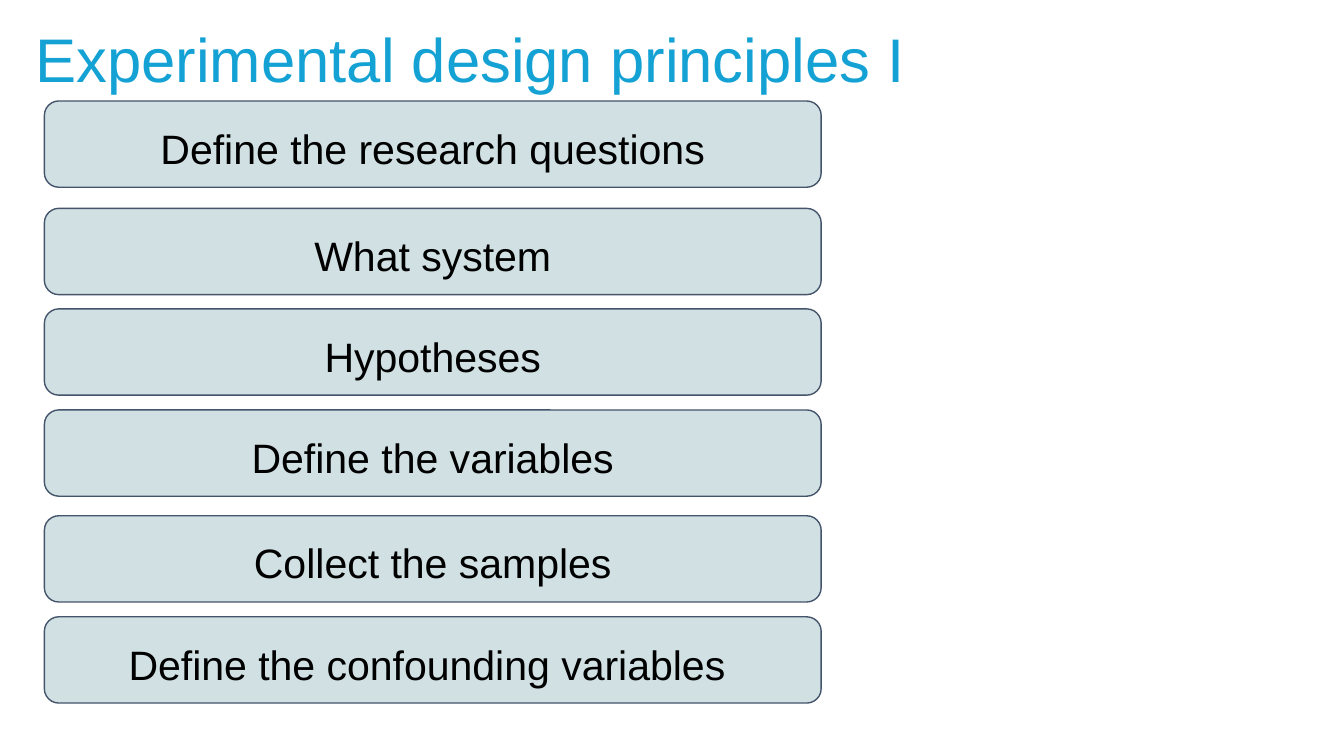
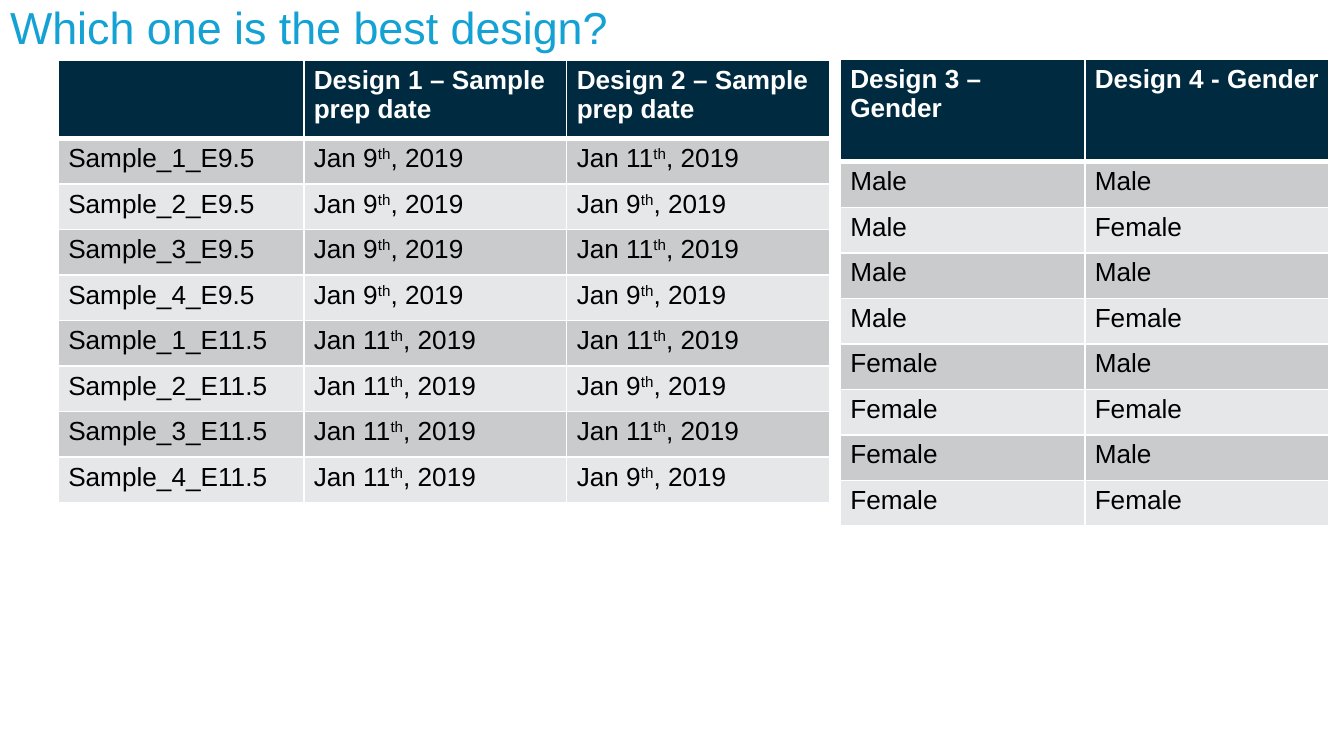
from pptx import Presentation
from pptx import util as u
from pptx.dml import color
from pptx.enum import shapes, text
from pptx.oxml import parse_xml
from pptx.oxml.ns import nsdecls

FONT = "Arial"
COLORS = {
    "title": "14A1D4",
    "step": "D0E0E3",
    "step_line": "44546A",
    "header": "002A40",
    "band_dark": "CACBCD",
    "band_light": "E6E7E8",
    "white": "FFFFFF",
    "black": "000000",
}
TITLE_ONLY = 5
ROW_HEIGHT = 0.86

# Step labels with their top edges in cm
STEPS = [
    ("Define the research questions", 1.91),
    ("What system", 3.94),
    ("Hypotheses", 5.84),
    ("Define the variables", 7.75),
    ("Collect the samples", 9.75),
    ("Define the confounding variables ", 11.66),
]

# Carets enclose superscript text
EARLY, LATE = "Jan 9^th^, 2019", "Jan 11^th^, 2019"
SAMPLES = [f"Sample_{number}_{stage}" for stage in ("E9.5", "E11.5") for number in range(1, 5)]
DATE_ROWS = [
    ["", "Design 1 – Sample prep date", "Design 2 – Sample prep date"],
    *zip(SAMPLES, [EARLY] * 4 + [LATE] * 4, [LATE, EARLY] * 4),
]
GENDER_ROWS = [
    ["Design 3 – Gender", "Design 4 - Gender"],
    *zip(["Male"] * 4 + ["Female"] * 4, ["Male", "Female"] * 4),
]


def rgb(name):
    return color.RGBColor.from_string(COLORS[name])


def style_font(font, size, color_name, bold=False):
    font.name, font.size, font.bold = FONT, u.Pt(size), bold
    font.color.rgb = rgb(color_name)


def set_margins(target, horizontal, vertical):
    target.margin_left = target.margin_right = u.Cm(horizontal)
    target.margin_top = target.margin_bottom = u.Cm(vertical)


def add_titled_slide(presentation, title, box, size, anchor, line_spacing=1.0):
    slide = presentation.slides.add_slide(presentation.slide_layouts[TITLE_ONLY])
    shape = slide.shapes.title
    shape.left, shape.top, shape.width, shape.height = map(u.Cm, box)
    frame = shape.text_frame
    frame.text = title
    frame.word_wrap = True
    frame.auto_size = text.MSO_AUTO_SIZE.NONE
    frame.vertical_anchor = anchor
    set_margins(frame, 0.19, 0.1)
    paragraph = frame.paragraphs[0]
    paragraph.alignment = text.PP_ALIGN.LEFT
    paragraph.line_spacing = line_spacing
    style_font(paragraph.runs[0].font, size, "title")
    return slide


def add_step(slide, label, box):
    shape = slide.shapes.add_shape(shapes.MSO_SHAPE.ROUNDED_RECTANGLE, *map(u.Cm, box))
    shape.shadow.inherit = False
    shape.fill.solid()
    shape.fill.fore_color.rgb = rgb("step")
    shape.line.color.rgb = rgb("step_line")
    shape.line.width = u.Pt(0.75)
    frame = shape.text_frame
    frame.text = label
    frame.word_wrap = True
    frame.vertical_anchor = text.MSO_ANCHOR.MIDDLE
    set_margins(frame, 0.25, 0.25)
    paragraph = frame.paragraphs[0]
    paragraph.alignment = text.PP_ALIGN.CENTER
    paragraph.line_spacing = 1.15
    style_font(paragraph.runs[0].font, 22, "black")


def set_borders(cell, top, bottom):
    properties = cell._tc.get_or_add_tcPr()
    for side, width in (("L", 1), ("R", 1), ("T", top), ("B", bottom)):
        properties.append(parse_xml(
            f'<a:ln{side} {nsdecls("a")} w="{u.Pt(width)}"><a:solidFill>'
            f'<a:srgbClr val="{COLORS["white"]}"/></a:solidFill></a:ln{side}>'))


def fill_cell(cell, content, row):
    header = row == 0
    set_margins(cell, 0.19, 0.1)
    set_borders(cell, top=3 if row == 1 else 1, bottom=3 if header else 1)
    cell.fill.solid()
    band = "band_dark" if row % 2 else "band_light"
    cell.fill.fore_color.rgb = rgb("header" if header else band)
    paragraph = cell.text_frame.paragraphs[0]
    if not content:
        paragraph.font.size = u.Pt(14)
        return
    for index, part in enumerate(content.split("^")):
        run = paragraph.add_run()
        run.text = part
        style_font(run.font, 14, "white" if header else "black", header)
        if index % 2:
            run._r.get_or_add_rPr().set("baseline", "30000")


def add_design_table(slide, rows, left, top, column_widths, header_height):
    heights = [header_height] + [ROW_HEIGHT] * (len(rows) - 1)
    frame = slide.shapes.add_table(
        len(rows), len(column_widths), u.Cm(left), u.Cm(top),
        u.Cm(sum(column_widths)), u.Cm(sum(heights)))
    table = frame.table
    for column, width in zip(table.columns, column_widths):
        column.width = u.Cm(width)
    for row, (contents, height) in enumerate(zip(rows, heights)):
        table.rows[row].height = u.Cm(height)
        for column, content in enumerate(contents):
            fill_cell(table.cell(row, column), content, row)


def build_principles(presentation):
    slide = add_titled_slide(presentation, "Experimental design principles I",
                             (0.48, 0.3, 18.21, 1.6), 33, text.MSO_ANCHOR.BOTTOM)
    for label, top in STEPS:
        add_step(slide, label, (0.84, top, 14.68, 1.63))


def build_designs(presentation):
    slide = add_titled_slide(presentation, "Which one is the best design?",
                             (0, 0, 15.24, 1.8), 24, text.MSO_ANCHOR.TOP, 0.9)
    # Preparation dates on the left, gender on the right
    add_design_table(slide, DATE_ROWS, 1.1, 1.14, [4.64, 4.97, 4.97], 1.48)
    add_design_table(slide, GENDER_ROWS, 15.88, 1.12, [4.62, 4.62], 1.94)


def main():
    presentation = Presentation()
    presentation.slide_width = u.Cm(25.4)
    presentation.slide_height = u.Cm(14.29)
    build_principles(presentation)
    build_designs(presentation)
    presentation.save("out.pptx")


if __name__ == "__main__":
    main()
